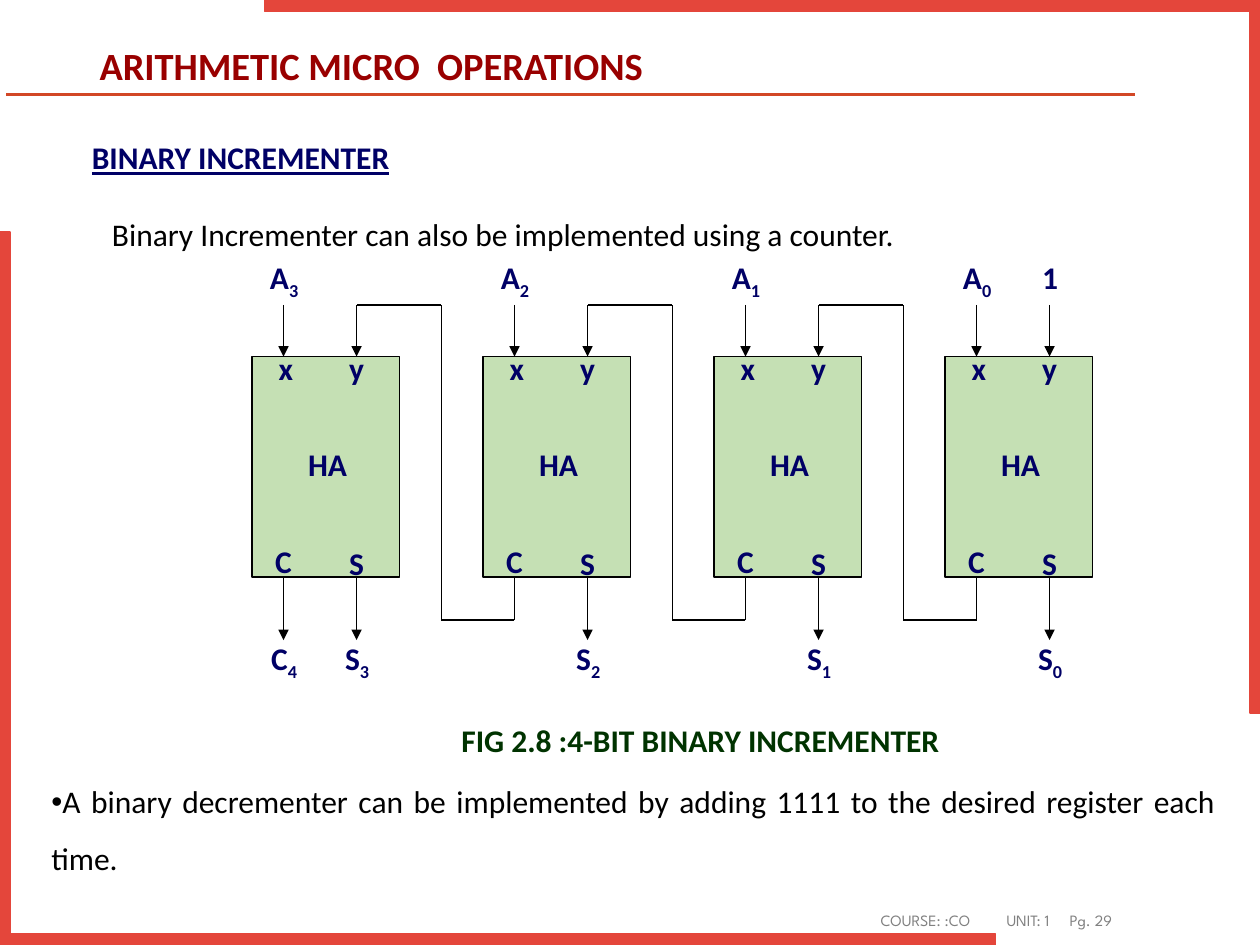
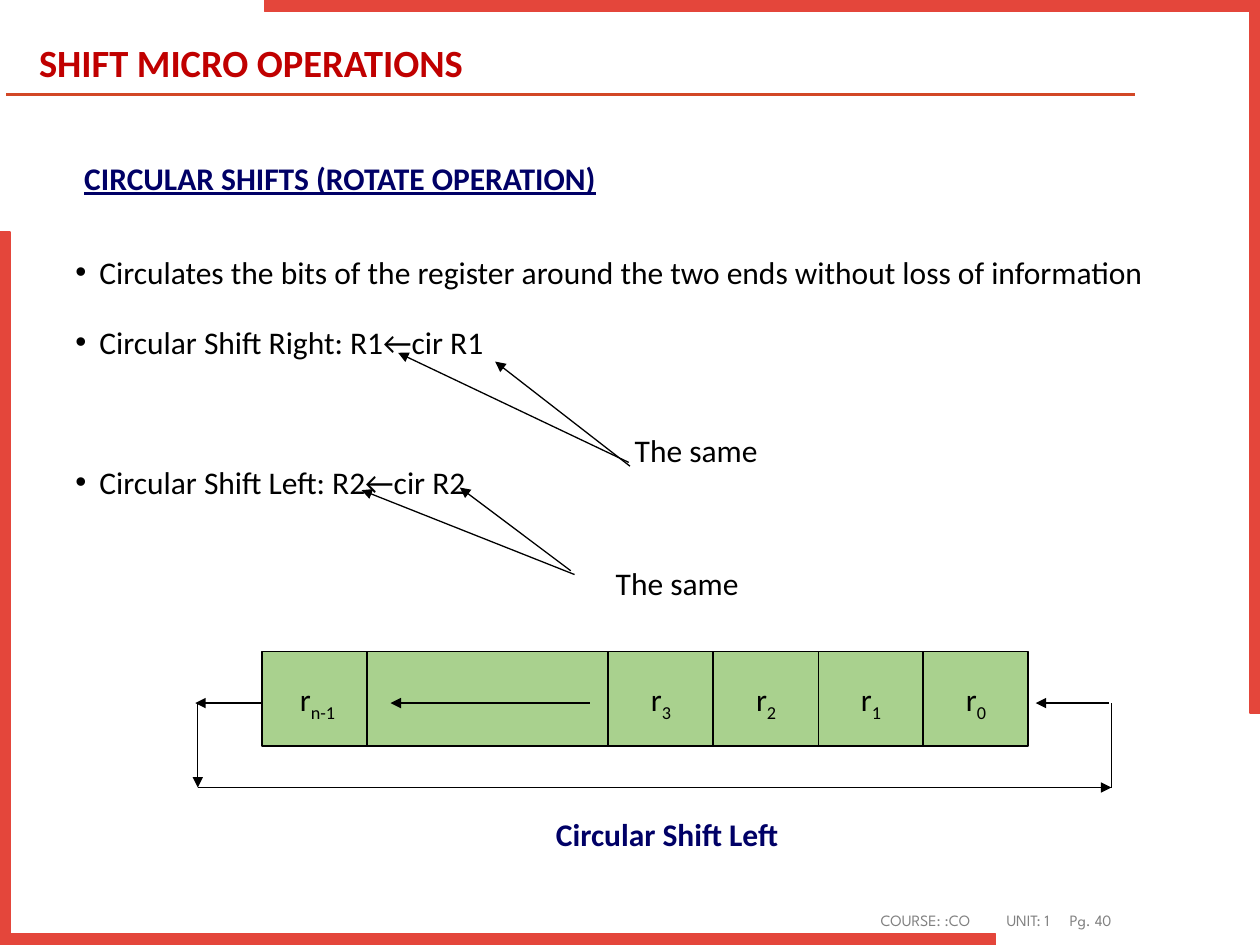
from collections import namedtuple
from itertools import pairwise

from lxml.etree import SubElement
from pptx import Presentation
from pptx.dml.color import RGBColor
from pptx.enum.shapes import MSO_CONNECTOR, MSO_SHAPE
from pptx.enum.text import MSO_ANCHOR, PP_ALIGN
from pptx.oxml.ns import qn
from pptx.util import Inches, Pt

Box = namedtuple("Box", "left top width height")

BAND_RED = RGBColor(0xE4, 0x46, 0x3B)
RULE_RED = RGBColor(0xD2, 0x47, 0x26)
TITLE_MAROON = RGBColor(0x99, 0x00, 0x00)
TITLE_RED = RGBColor(0xC0, 0x00, 0x00)
NAVY = RGBColor(0x00, 0x00, 0x66)
DARK_GREEN = RGBColor(0x00, 0x33, 0x00)
ADDER_GREEN = RGBColor(0xC5, 0xE0, 0xB4)
REGISTER_GREEN = RGBColor(0xA9, 0xD1, 0x8E)
GRAY = RGBColor(0x80, 0x80, 0x80)
BLACK = RGBColor(0x00, 0x00, 0x00)

BODY = {"name": "Calibri", "size": Pt(18), "color": BLACK}
LABEL = BODY | {"color": NAVY, "bold": True}
HEADING = LABEL | {"underline": True}
CAPTION = LABEL | {"color": DARK_GREEN}
TITLE = LABEL | {"size": Pt(22)}
FOOTER = {"name": "League Spartan", "size": Pt(9), "color": GRAY}

CENTERED = {"alignment": PP_ALIGN.CENTER}
JUSTIFIED = {"alignment": PP_ALIGN.JUSTIFY, "line_spacing": 1.5}


def inches(box):
    return [Inches(length) for length in box]


def add_span(para, text, look, subscript=False):
    span = para.add_run()
    span.text = text
    for name, value in look.items():
        if name == "color":
            span.font.color.rgb = value
        else:
            setattr(span.font, name, value)
    if subscript:
        span._r.get_or_add_rPr().set("baseline", "-25000")


def format_para(para, layout):
    for name, value in layout.items():
        setattr(para, name, value)


def add_bullet(para, indent=0):
    props = para._p.get_or_add_pPr()
    props.set("marL", str(Inches(indent)))
    props.set("indent", str(-Inches(indent)))
    SubElement(props, qn("a:buFont"), typeface="Arial")
    SubElement(props, qn("a:buChar"), char="•")


def add_text(page, box, text, look, layout=CENTERED, subscript=""):
    frame = page.shapes.add_textbox(*inches(box)).text_frame
    frame.word_wrap = True
    para = frame.paragraphs[0]
    format_para(para, layout)
    add_span(para, text, look)
    if subscript:
        add_span(para, subscript, look, subscript=True)
    return para


def add_block(page, box, fill, line, width):
    block = page.shapes.add_shape(MSO_SHAPE.RECTANGLE, *inches(box))
    block.shadow.inherit = False
    block.fill.solid()
    block.fill.fore_color.rgb = fill
    block.line.color.rgb = line
    block.line.width = Pt(width)
    return block


def add_corner_band(page, box, rotation):
    band = add_block(page, box, BAND_RED, BAND_RED, 1)
    band.rotation = rotation
    geometry = band._element.spPr.find(qn("a:prstGeom"))
    geometry.set("prst", "corner")
    guides = geometry.find(qn("a:avLst"))
    for name, value in (("adj1", 1600), ("adj2", 1400)):
        SubElement(guides, qn("a:gd"), name=name, fmla=f"val {value}")


def add_line(page, start, end, arrow=False, color=BLACK, width=0.75):
    line = page.shapes.add_connector(
        MSO_CONNECTOR.STRAIGHT, *inches(start + end))
    line.line.color.rgb = color
    line.line.width = Pt(width)
    properties = line._element.spPr
    if arrow:
        SubElement(properties.find(qn("a:ln")), qn("a:tailEnd"), type="triangle")
    SubElement(properties, qn("a:effectLst"))


def add_arrow(page, start, end):
    add_line(page, start, end, arrow=True)


def add_footer(page, box, number):
    para = add_text(page, box, f"COURSE: :CO\tUNIT: 1\tPg. {number}", FOOTER,
                    {"space_after": Pt(6)})
    stops = SubElement(para._p.get_or_add_pPr(), qn("a:tabLst"))
    for position in (1, 1.5):
        SubElement(stops, qn("a:tab"), pos=str(Inches(position)), algn="l")


def add_page(deck, title, title_box, title_color, number):
    page = deck.slides.add_slide(deck.slide_layouts[5])
    add_line(page, (0.05, 0.75), (9.01, 0.75), color=RULE_RED, width=2)
    add_corner_band(page, Box(2.1, 0, 7.9, 5.66), 180)
    add_corner_band(page, Box(0, 1.84, 7.9, 5.66), 0)
    add_footer(page, Box(6.89, 7.18, 2.5, 0.22), number)

    heading = page.shapes.title
    heading.left, heading.top, heading.width, heading.height = inches(title_box)
    heading.text_frame.vertical_anchor = MSO_ANCHOR.MIDDLE
    para = heading.text_frame.paragraphs[0]
    format_para(para, {"alignment": PP_ALIGN.LEFT, "line_spacing": 0.9})
    add_span(para, title, TITLE | {"color": title_color})
    return page


def add_half_adder(page, box, index):
    left, top = box.left, box.top
    bottom = top + box.height
    first, second = left + 0.25, left + 0.83
    add_block(page, box, ADDER_GREEN, BLACK, 0.75)

    for text, x, y, width in (
        ("x", first + 0.02, top - 0.11, 0.33),
        ("y", second, top - 0.11, 0.5),
        ("C", first, bottom - 0.33, 0.5),
        ("S", second, bottom - 0.31, 0.5),
        ("HA", left + 0.6, top + 0.65, 0.75),
    ):
        add_text(page, Box(x - width / 2, y, width, 0.4), text, LABEL)

    add_arrow(page, (first, top - 0.41), (first, top))
    add_arrow(page, (second, bottom), (second, bottom + 0.5))
    for text, x, y in (("A", first, top - 0.83), ("S", second, bottom + 0.44)):
        add_text(page, Box(x - 0.33, y, 0.67, 0.4), text, LABEL,
                 subscript=str(index))


def add_carry(page, box, pitch):
    bottom = box.top + box.height
    carry = box.left + 0.25
    riser = box.left - 0.33
    target = box.left + 0.83 - pitch
    corners = [(carry, bottom), (carry, bottom + 0.34), (riser, bottom + 0.34),
               (riser, box.top - 0.41), (target, box.top - 0.41),
               (target, box.top)]
    for start, end in pairwise(corners):
        add_line(page, start, end, arrow=end == corners[-1])


def add_incrementer(page, box):
    adder_width, bits = 1.17, 4
    pitch = (box.width - adder_width) / (bits - 1)
    adders = [Box(box.left + pitch * column, box.top, adder_width, box.height)
              for column in range(bits)]
    for column, adder in enumerate(adders):
        add_half_adder(page, adder, bits - 1 - column)
        if column:
            add_carry(page, adder, pitch)

    bottom = box.top + box.height
    carry_out = box.left + 0.25
    add_arrow(page, (carry_out, bottom), (carry_out, bottom + 0.5))
    add_text(page, Box(carry_out - 0.33, bottom + 0.44, 0.67, 0.4), "C", LABEL,
             subscript="4")
    one = adders[-1].left + 0.83
    add_arrow(page, (one, box.top - 0.41), (one, box.top))
    add_text(page, Box(one - 0.33, box.top - 0.83, 0.67, 0.4), "1", LABEL)


def add_shift_list(page, box):
    frame = page.shapes.add_textbox(*inches(box)).text_frame
    frame.word_wrap = True
    items = (
        ("Circulates the bits of the register around the two ends "
         "without loss of information", 7.5),
        ("Circular Shift Right: R1←cir R1", 7.5),
        ("Circular Shift Left: R2←cir R2", 47.5),
    )
    for number, (text, gap) in enumerate(items):
        para = frame.add_paragraph() if number else frame.paragraphs[0]
        format_para(para, JUSTIFIED | {"space_before": Pt(gap)})
        add_bullet(para, 0.19)
        add_span(para, text, BODY)


def add_same_note(page, box, arrows):
    add_text(page, box, "The same", BODY)
    for start, end in arrows:
        add_arrow(page, start, end)


def add_register(page, box):
    left, top, width, height = box
    right, bottom = left + width, top + height
    cell = 2.5 / 3
    middle = top + 0.41
    loop_left, loop_right, loop_bottom = left - 0.51, right + 0.66, bottom + 0.33
    add_block(page, box, REGISTER_GREEN, BLACK, 0.75)

    bit_lefts = [right - cell * (bit + 1) for bit in range(4)]
    for edge in [left + cell] + bit_lefts:
        add_line(page, (edge, top), (edge, bottom))
    for bit, edge in enumerate(bit_lefts):
        add_text(page, Box(edge + 0.13, top + 0.18, 0.58, 0.4), "r", BODY,
                 subscript=str(bit))
    add_text(page, Box(left + 0.05, top + 0.18, 0.78, 0.4), "r", BODY,
             subscript="n-1")

    for start, end in (
        ((left + 2.6, middle), (left + 1.02, middle)),
        ((left, middle), (loop_left - 0.02, middle)),
        ((loop_left, middle), (loop_left, loop_bottom)),
        ((loop_left, loop_bottom), (loop_right, loop_bottom)),
        ((loop_right - 0.02, middle), (right + 0.06, middle)),
    ):
        add_arrow(page, start, end)
    add_line(page, (loop_right, loop_bottom), (loop_right, middle))
    add_text(page, Box(left + 1.34, bottom + 0.5, 3.75, 0.4),
             "Circular Shift Left", LABEL)


def build_incrementer_page(deck):
    page = add_page(deck, "ARITHMETIC MICRO  OPERATIONS",
                    Box(0.69, 0.28, 7.22, 0.52), TITLE_MAROON, 29)
    add_text(page, Box(0.63, 1.1, 3.61, 0.43), "BINARY INCREMENTER", HEADING,
             {"line_spacing": Pt(18), "space_after": Pt(6)})
    add_text(page, Box(0.79, 1.51, 6.71, 0.51),
             "Binary Incrementer can also be implemented using a counter.",
             BODY, JUSTIFIED)
    add_incrementer(page, Box(2, 2.83, 6.67, 1.75))
    add_text(page, Box(2.52, 5.67, 6.08, 0.4),
             "FIG 2.8 :4-BIT BINARY INCREMENTER", CAPTION)
    note = add_text(page, Box(0.31, 6.01, 9.44, 0.96),
                    "A binary decrementer can be implemented by adding 1111 "
                    "to the desired register each time.", BODY, JUSTIFIED)
    add_bullet(note)


def build_shift_page(deck):
    page = add_page(deck, "SHIFT MICRO OPERATIONS",
                    Box(0.21, 0.23, 7.69, 0.57), TITLE_RED, 40)
    add_text(page, Box(0.57, 1.21, 6.22, 0.4),
             "CIRCULAR SHIFTS (ROTATE OPERATION)", HEADING, {})
    add_shift_list(page, Box(0.5, 1.81, 9, 3.02))
    add_same_note(page, Box(4.87, 3.37, 1.31, 0.4),
                  [((4.99, 3.67), (3.16, 2.8)), ((5, 3.7), (3.93, 2.87))])
    add_same_note(page, Box(4.56, 4.43, 1.63, 0.4),
                  [((4.56, 4.56), (2.87, 3.89)), ((4.53, 4.53), (3.65, 3.87))])
    add_register(page, Box(2.08, 5.17, 6.08, 0.75))


def main():
    deck = Presentation()
    deck.slide_width, deck.slide_height = Inches(10), Inches(7.5)
    build_incrementer_page(deck)
    build_shift_page(deck)
    deck.save("out.pptx")


if __name__ == "__main__":
    main()
